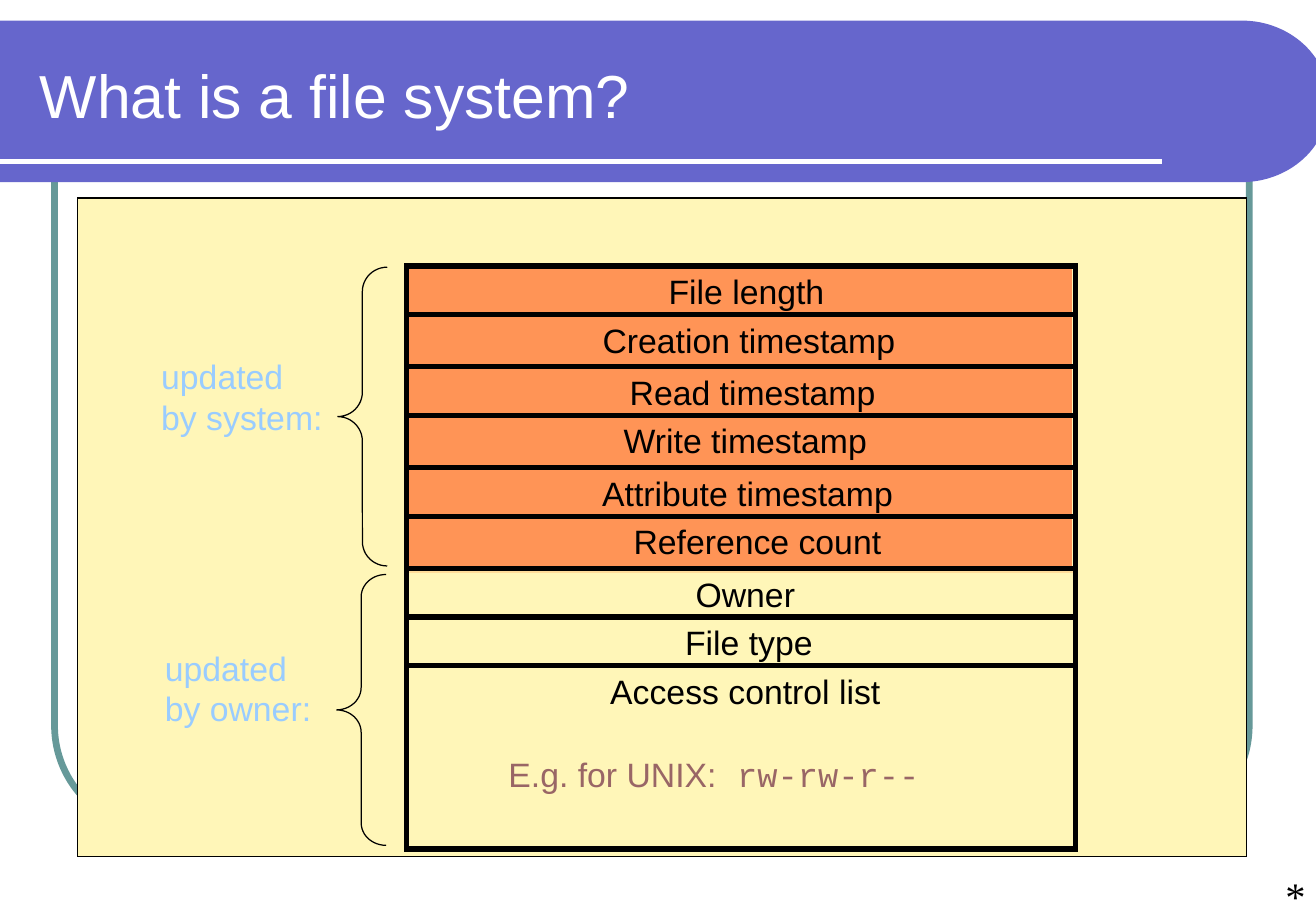
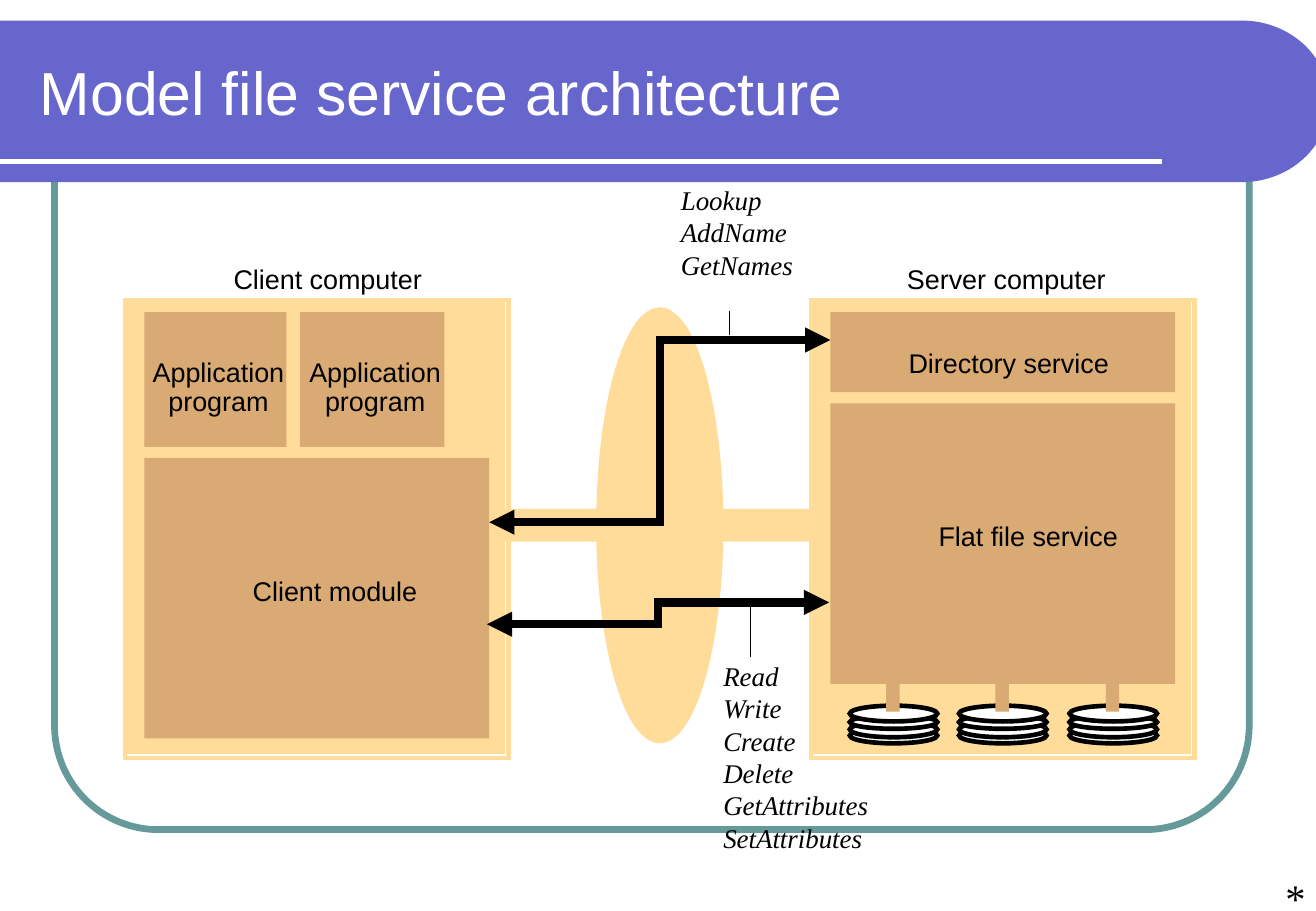
import math

import pptx
import pptx.dml.color
import pptx.enum.shapes
import pptx.enum.text
import pptx.oxml
import pptx.oxml.ns
import pptx.util

# Content: lengths in px, 100 px to the inch
PX = 9144
SLIDE_SIZE = (1084, 750)
COLORS = {
    "band": "6666CC", "frame": "669999", "white": "FFFFFF", "black": "000000",
    "panel": "FFF6B8", "system": "FF9456", "caption": "99CCFF",
    "example": "996666", "computer": "FFDC99", "module": "D9AA73",
}
SANS, SERIF, MONO = "Arial", "Times New Roman", "Courier New"

# Attribute record: label, centre of label, top of row
ATTRIBUTES = [
    ("File length", 615, 219), ("Creation timestamp", 617, 259),
    ("Read timestamp", 620, 302), ("Write timestamp", 614, 342),
    ("Attribute timestamp", 616, 385), ("Reference count", 624, 425),
    ("Owner", 614, 468), ("File type", 617, 508), ("Access control list", 614, 548),
]
RECORD = (335, 219, 551, 480)
LABEL_DROP = 4
# Caption lines, caption corner, brace box, brace curvature
UPDATERS = [
    (("updated", "by system:"), (123, 288), (278, 220, 41, 246), 0.49),
    (("updated", "by owner:"), (126, 528), (277, 473, 41, 223), 0.45),
]

COMPUTER_LEFTS = (668, 103)
MODULES = [(119, 377, 284, 231), (119, 257, 117, 111), (247, 257, 119, 111),
           (684, 332, 284, 231), (684, 257, 284, 66)]
# Label, centre, top
MODULE_LABELS = [
    ("Client computer", 270, 216), ("Server computer", 829, 216),
    ("Client module", 276, 473), ("Flat file service", 847, 428),
    ("Directory service", 831, 285),
]
PROGRAM_CENTRES, PROGRAM_LINES = (180, 309), ("Application", "program")
DISK_LEFTS = (881, 790, 700)
PLATTERS = [(599, 13), (594, 13), (589, 11), (581, 13)]
REQUESTS = [((403, 430), (684, 280)), ((401, 514), (683, 496))]
# Operation names, corner, pointer start, pointer end
OPERATIONS = [
    (("Lookup", "AddName", "GetNames"), (551, 146), (601, 256), (601, 276)),
    (("Read", "Write", "Create", "Delete", "GetAttributes", "SetAttributes"),
     (586, 538), (618, 541), (618, 497)),
]

SHAPES = pptx.enum.shapes.MSO_SHAPE
CONNECTORS = pptx.enum.shapes.MSO_CONNECTOR
ALIGN = pptx.enum.text.PP_ALIGN
ANCHOR = pptx.enum.text.MSO_ANCHOR


def emu(*lengths):
    return [round(length * PX) for length in lengths]


def rgb(name):
    return pptx.dml.color.RGBColor.from_string(COLORS[name])


def add_element(parent, tag, **attributes):
    element = pptx.oxml.xmlchemy.OxmlElement(tag)
    for name, value in attributes.items():
        element.set(name, value)
    parent.append(element)


def draw_line(shape, color, width):
    """Solid line with sharp corners; returns its XML element."""
    shape.line.color.rgb = rgb(color)
    shape.line.width = pptx.util.Pt(width)
    outline = shape.element.spPr.find(pptx.oxml.ns.qn("a:ln"))
    add_element(outline, "a:miter", lim="800000")
    return outline


def paint(shape, fill=None, line=None, width=0.75):
    shape.shadow.inherit = False
    if fill:
        shape.fill.solid()
        shape.fill.fore_color.rgb = rgb(fill)
    else:
        shape.fill.background()
    if line:
        draw_line(shape, line, width)
    else:
        shape.line.fill.background()


def add_shape(slide, kind, box, fill=None, line=None, width=0.75, adjustments=()):
    shape = slide.shapes.add_shape(kind, *emu(*box))
    for index, value in enumerate(adjustments):
        shape.adjustments[index] = value
    paint(shape, fill, line, width)


def add_line(slide, start, end, color="black", width=0.75,
             kind=CONNECTORS.STRAIGHT, arrows=False):
    connector = slide.shapes.add_connector(kind, *emu(*start, *end))
    outline = draw_line(connector, color, width)
    if arrows:
        for tag in ("a:headEnd", "a:tailEnd"):
            add_element(outline, tag, type="triangle")
    add_element(connector.element.spPr, "a:effectLst")


def add_text(slide, box, lines, size, color="black", font=SANS, italic=False,
             align=ALIGN.LEFT, inset=(10, 5), anchor=ANCHOR.TOP):
    frame = slide.shapes.add_textbox(*emu(*box)).text_frame
    frame.word_wrap = True
    frame.vertical_anchor = anchor
    frame.margin_left = frame.margin_right = emu(inset[0])[0]
    frame.margin_top = frame.margin_bottom = emu(inset[1])[0]
    frame.text = "\n".join(lines)
    for paragraph in frame.paragraphs:
        paragraph.alignment = align
        paragraph.font.size = pptx.util.Pt(size)
        paragraph.font.name = font
        paragraph.font.italic = italic
        paragraph.font.color.rgb = rgb(color)
    return frame


def add_label(slide, text, centre, top, size):
    add_text(slide, (centre - 150, top, 300, 33), [text], size,
             align=ALIGN.CENTER, inset=(0, 0))


def add_base_slide(presentation, title, title_top, mark_top):
    """Frame, band, rule, title and corner mark shared by the slides."""
    slide = presentation.slides.add_slide(presentation.slide_layouts[6])
    add_shape(slide, SHAPES.ROUNDED_RECTANGLE, (45, 58, 984, 625),
              line="frame", width=4, adjustments=[0.137])

    # Band with a rounded right end
    steps = 60
    angles = [math.pi * (step / steps - 0.5) for step in range(steps + 1)]
    arc = [emu(1023 + 72 * math.cos(angle), 83.5 + 66.5 * math.sin(angle))
           for angle in angles]
    builder = slide.shapes.build_freeform(*emu(0, 17), scale=1.0)
    builder.add_line_segments(arc + [emu(0, 150)], close=True)
    paint(builder.convert_to_shape(), "band")

    add_line(slide, (0, 133), (957, 133), "white", 3)
    add_text(slide, (23, title_top, 950, 100), [title], 36, "white",
             anchor=ANCHOR.MIDDLE)
    add_text(slide, (1049, mark_top, 33, 50), ["*"], 24, font=SERIF)
    return slide


def build_file_record(presentation):
    slide = add_base_slide(presentation, "What is a file system?", 28, 712)
    add_shape(slide, SHAPES.RECTANGLE, (64, 163, 963, 542), "panel", "black")

    # Attributes kept by the system
    left, top, width, height = RECORD
    add_shape(slide, SHAPES.RECTANGLE, (left, top, width - 3, 248), "system")
    add_shape(slide, SHAPES.RECTANGLE, (left, top, width, 251),
              line="computer", width=3.12)

    # Rows of the record: dividers first, labels clear of them
    for _, _, row_top in ATTRIBUTES[1:]:
        add_line(slide, (left, row_top), (left + width - 2, row_top), width=3.12)
    add_shape(slide, SHAPES.RECTANGLE, RECORD, line="black", width=3.12)
    for label, centre, row_top in ATTRIBUTES:
        add_label(slide, label, centre, row_top + LABEL_DROP, 20)

    # Example of permissions
    example = add_text(slide, (409, 616, 380, 44), ["E.g. for UNIX:"], 20, "example")
    permissions = example.paragraphs[0].add_run()
    permissions.text = " rw-rw-r--"
    permissions.font.name = MONO

    # Who updates each group
    for lines, corner, brace, curvature in UPDATERS:
        add_text(slide, (*corner, 177, 77), lines, 20, "caption")
        add_shape(slide, SHAPES.LEFT_BRACE, brace, line="black",
                  adjustments=[curvature, 0.5])


def build_architecture(presentation):
    slide = add_base_slide(presentation, "Model file service architecture", 25, 714)

    # Computers, network and modules
    for left in COMPUTER_LEFTS:
        add_shape(slide, SHAPES.RECTANGLE, (left, 247, 313, 374), "computer")
        add_shape(slide, SHAPES.RECTANGLE, (left, 247, 316, 377),
                  line="computer", width=2.75)
    add_shape(slide, SHAPES.OVAL, (493, 255, 101, 355), "computer", "computer", 2.75)
    add_shape(slide, SHAPES.RECTANGLE, (409, 419, 270, 27), "computer")
    for box in MODULES:
        add_shape(slide, SHAPES.RECTANGLE, box, "module")

    # Disks
    for left in DISK_LEFTS:
        for top, height in PLATTERS:
            add_shape(slide, SHAPES.OVAL, (left, top, 72, height),
                      "white", "black", 2.75)
        add_shape(slide, SHAPES.RECTANGLE, (left + 30, 533, 11, 53), "module")

    # Labels
    for label, centre, top in MODULE_LABELS:
        add_label(slide, label, centre, top, 16)
    for centre in PROGRAM_CENTRES:
        for index, line in enumerate(PROGRAM_LINES):
            add_label(slide, line, centre, 293 + 24 * index, 16)

    # Requests and their operations
    for start, end in REQUESTS:
        add_line(slide, start, end, width=5, kind=CONNECTORS.ELBOW, arrows=True)
    for names, corner, start, end in OPERATIONS:
        add_text(slide, (*corner, 160, 10 + 27 * len(names)), names, 16,
                 font=SERIF, italic=True)
        add_line(slide, start, end)


def main():
    presentation = pptx.Presentation()
    presentation.slide_width, presentation.slide_height = emu(*SLIDE_SIZE)
    build_file_record(presentation)
    build_architecture(presentation)
    presentation.save("out.pptx")


if __name__ == "__main__":
    main()
